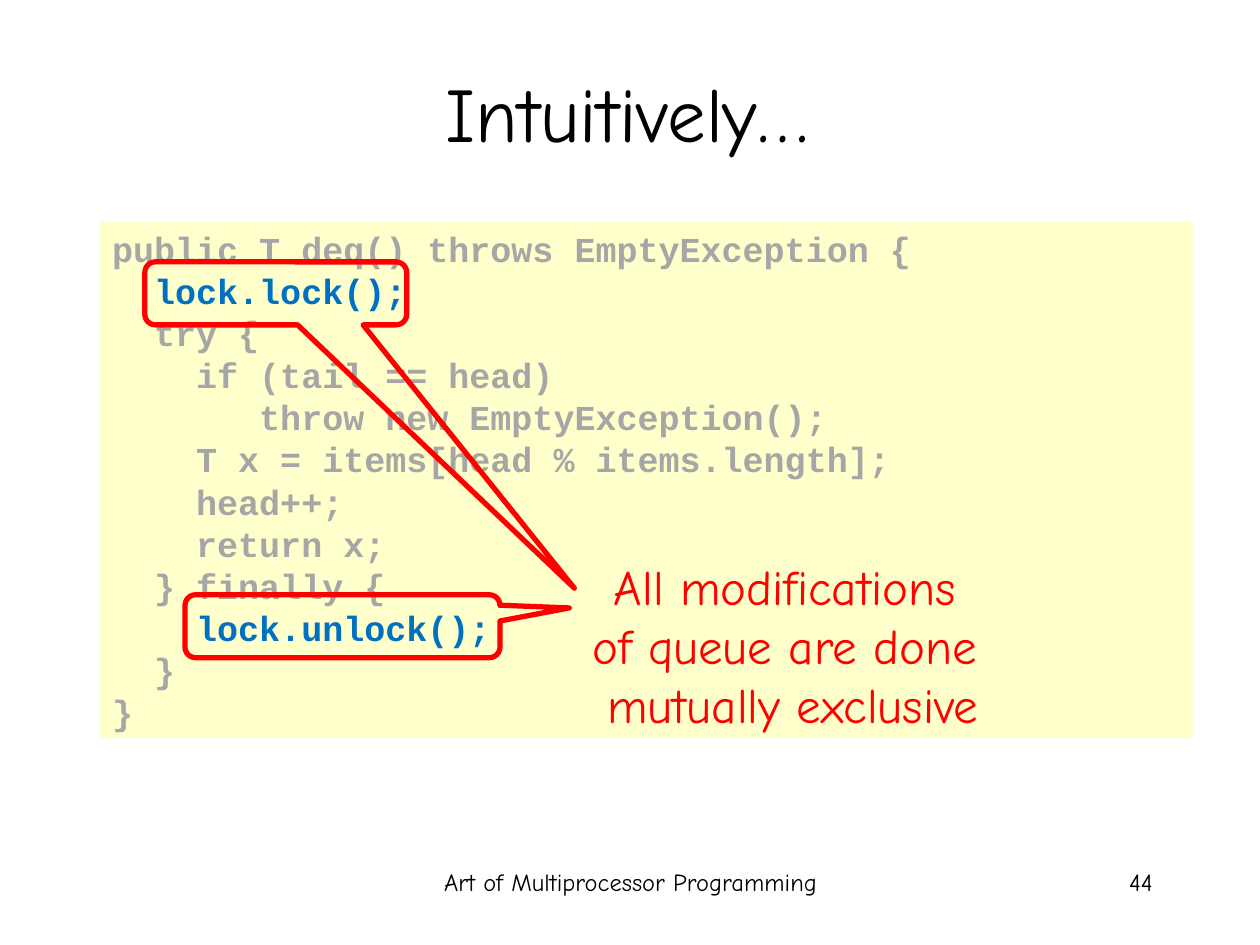
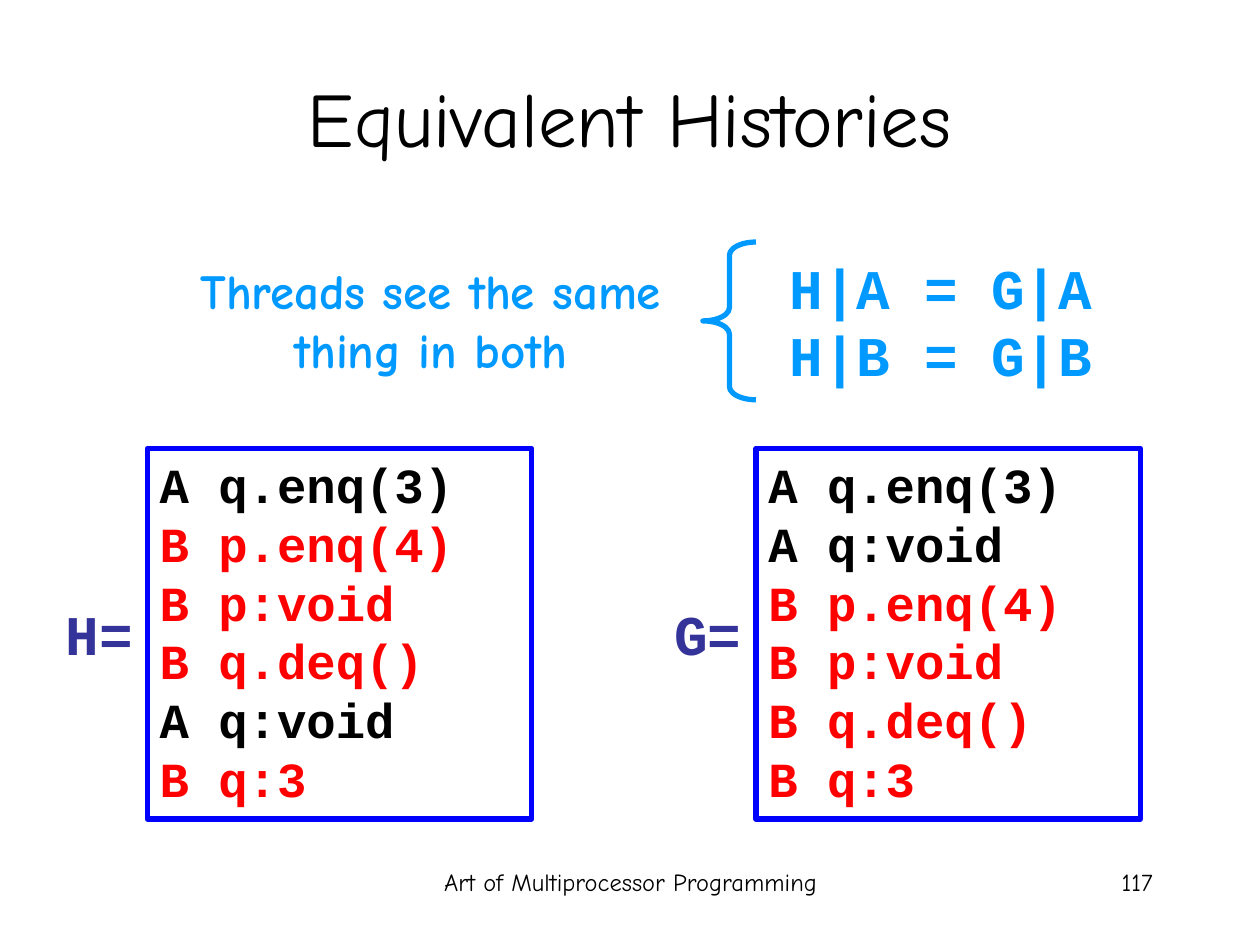
from dataclasses import dataclass

from pptx import Presentation
from pptx.dml.color import RGBColor
from pptx.enum.shapes import MSO_SHAPE
from pptx.enum.text import MSO_ANCHOR, PP_ALIGN
from pptx.util import Cm, Pt

COLORS = {
    "black": "000000",
    "gray": "A6A6A6",
    "code_blue": "0070C0",
    "red": "FF0000",
    "sky": "0099FF",
    "indigo": "333399",
    "frame": "0000FF",
    "paper": "FFFFCC",
}
PROSE_FONT = "Comic Neue"
CODE_FONT = "Courier New"
CODE_LEADING = 1.2
FOOTER = "Art of Multiprocessor Programming"


@dataclass(frozen=True)
class Box:
    left: float
    top: float
    width: float
    height: float

    def lengths(self):
        return Cm(self.left), Cm(self.top), Cm(self.width), Cm(self.height)


@dataclass(frozen=True)
class Style:
    font: str
    size: int
    bold: bool = False
    align: PP_ALIGN = PP_ALIGN.LEFT
    anchor: MSO_ANCHOR = MSO_ANCHOR.TOP


@dataclass(frozen=True)
class Line:
    text: str
    color: str = "black"


@dataclass(frozen=True)
class Callout:
    box: Box
    tip_x: float
    tip_y: float


@dataclass(frozen=True)
class History:
    name: str
    left: float
    events: tuple[str, ...]


TITLE = Style(PROSE_FONT, 44, align=PP_ALIGN.CENTER, anchor=MSO_ANCHOR.MIDDLE)
FOOTER_STYLE = Style(PROSE_FONT, 14, align=PP_ALIGN.CENTER)
NUMBER_STYLE = Style(PROSE_FONT, 14, align=PP_ALIGN.RIGHT)
NOTE = Style(PROSE_FONT, 28, align=PP_ALIGN.CENTER)
BOLD_NOTE = Style(PROSE_FONT, 28, bold=True, align=PP_ALIGN.CENTER)
LISTING = Style(CODE_FONT, 20, bold=True)
EVENTS = Style(CODE_FONT, 28, bold=True)
FORMULA = Style(CODE_FONT, 32, bold=True)

DEQ_CODE = (
    Line("public T deq() throws EmptyException {", "gray"),
    Line("  lock.lock();", "code_blue"),
    Line("  try {", "gray"),
    Line("    if (tail == head)", "gray"),
    Line("       throw new EmptyException();", "gray"),
    Line("    T x = items[head % items.length];", "gray"),
    Line("    head++;", "gray"),
    Line("    return x;", "gray"),
    Line("  } finally {", "gray"),
    Line("    lock.unlock();", "code_blue"),
    Line("  }", "gray"),
    Line("}", "gray"),
)
CALLOUTS = (
    Callout(Box(2.92, 5.28, 5.28, 1.27), 1.14, 4.68),
    Callout(Box(3.73, 11.99, 6.35, 1.27), 0.72, -0.29),
)
HISTORIES = (
    History("H", 2.97, ("A q.enq(3)", "B p.enq(4)", "B p:void",
                        "B q.deq()", "A q:void", "B q:3")),
    History("G", 15.24, ("A q.enq(3)", "A q:void", "B p.enq(4)",
                         "B p:void", "B q.deq()", "B q:3")),
)
THREAD_COLORS = {"A": "black", "B": "red"}
LABEL_OFFSET = 1.9


def rgb(name: str) -> RGBColor:
    return RGBColor.from_string(COLORS[name])


def write(shape, lines, style: Style) -> None:
    frame = shape.text_frame
    frame.word_wrap = True
    frame.vertical_anchor = style.anchor
    for index, line in enumerate(lines):
        paragraph = frame.add_paragraph() if index else frame.paragraphs[0]
        paragraph.alignment = style.align
        if style.font == CODE_FONT:
            paragraph.line_spacing = Pt(style.size * CODE_LEADING)
        run = paragraph.add_run()
        run.text = line.text
        run.font.name = style.font
        run.font.size = Pt(style.size)
        run.font.bold = style.bold
        run.font.color.rgb = rgb(line.color)


def add_text(slide, box: Box, lines, style: Style) -> None:
    write(slide.shapes.add_textbox(*box.lengths()), lines, style)


def add_figure(slide, kind: MSO_SHAPE, box: Box,
               fill: str | None = None, line: str | None = None):
    shape = slide.shapes.add_shape(kind, *box.lengths())
    shape.shadow.inherit = False
    if fill:
        shape.fill.solid()
        shape.fill.fore_color.rgb = rgb(fill)
    else:
        shape.fill.background()
    if line:
        shape.line.color.rgb = rgb(line)
        shape.line.width = Pt(3)
    else:
        shape.line.fill.background()
    return shape


def add_callout(slide, callout: Callout) -> None:
    shape = add_figure(slide, MSO_SHAPE.ROUNDED_RECTANGULAR_CALLOUT,
                       callout.box, line="red")
    for index, value in enumerate((callout.tip_x, callout.tip_y, 0.17)):
        shape.adjustments[index] = value


def add_history(slide, history: History) -> None:
    label_box = Box(history.left - LABEL_OFFSET, 11.96, 3.18, 1.6)
    add_text(slide, label_box, [Line(f"{history.name}=", "indigo")], FORMULA)
    frame = add_figure(slide, MSO_SHAPE.RECTANGLE,
                       Box(history.left, 9.04, 7.75, 7.47), line="frame")
    events = [Line(event, THREAD_COLORS[event[0]]) for event in history.events]
    write(frame, events, EVENTS)


def start_slide(presentation, title: str, title_box: Box, number: int):
    slide = presentation.slides.add_slide(presentation.slide_layouts[6])
    add_text(slide, Box(8.69, 17.35, 8.05, 1.27), [Line(FOOTER)], FOOTER_STYLE)
    add_text(slide, Box(18.21, 17.35, 5.28, 1.27), [Line(str(number))], NUMBER_STYLE)
    add_text(slide, title_box, [Line(title)], TITLE)
    return slide


def build_intuition(presentation) -> None:
    slide = start_slide(presentation, "Intuitively…",
                        Box(1.85, 0.66, 21.59, 3.18), 44)
    # Code panel
    panel = add_figure(slide, MSO_SHAPE.RECTANGLE,
                       Box(2.01, 4.47, 22.05, 10.41), fill="paper")
    write(panel, DEQ_CODE, LISTING)
    # Explanation with callouts around the lock calls
    note = ("All modifications ", "of queue are done ", "mutually exclusive")
    add_text(slide, Box(10.69, 11.1, 10.59, 3.81),
             [Line(text, "red") for text in note], NOTE)
    for callout in CALLOUTS:
        add_callout(slide, callout)


def build_histories(presentation) -> None:
    slide = start_slide(presentation, "Equivalent Histories",
                        Box(1.27, 0.76, 22.86, 3.18), 117)
    # Framed histories with their names
    for history in HISTORIES:
        add_history(slide, history)
    # Equivalence per thread
    add_text(slide, Box(2.97, 5.13, 11.43, 2.62),
             [Line("Threads see the same thing in both", "sky")], BOLD_NOTE)
    add_text(slide, Box(15.67, 4.98, 6.99, 2.97),
             [Line(f"H|{thread} = G|{thread}", "sky") for thread in THREAD_COLORS],
             FORMULA)
    brace = add_figure(slide, MSO_SHAPE.LEFT_BRACE,
                       Box(14.17, 4.88, 1.07, 3.18), line="sky")
    brace.adjustments[0] = 0.25
    brace.adjustments[1] = 0.5


def main() -> None:
    presentation = Presentation()
    presentation.slide_width = Cm(25.4)
    presentation.slide_height = Cm(19.05)
    build_intuition(presentation)
    build_histories(presentation)
    presentation.save("out.pptx")


if __name__ == "__main__":
    main()
